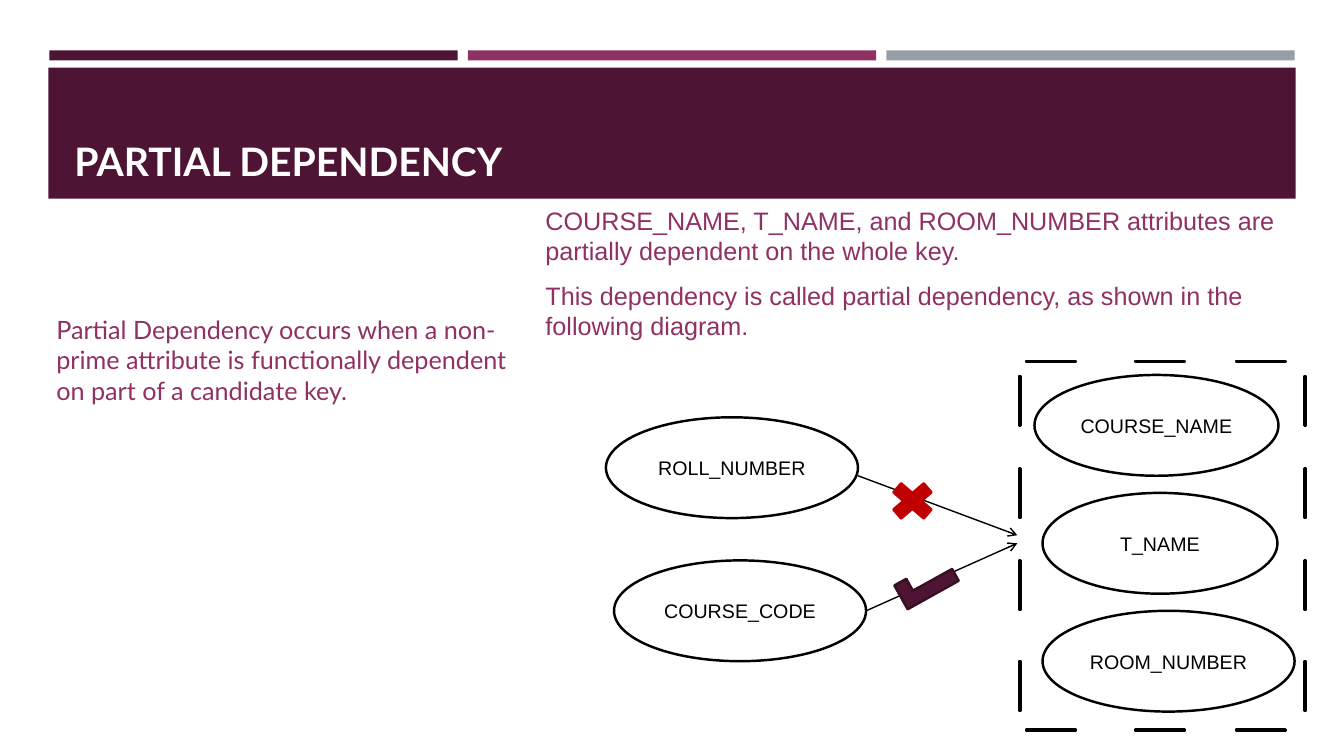
from dataclasses import dataclass

from lxml import etree
from pptx import Presentation
from pptx.dml.color import RGBColor
from pptx.enum.shapes import MSO_CONNECTOR, MSO_SHAPE
from pptx.enum.text import MSO_ANCHOR, PP_ALIGN
from pptx.oxml.ns import qn
from pptx.util import Inches, Pt

RECTANGLE = MSO_SHAPE.RECTANGLE
OVAL = MSO_SHAPE.OVAL
DASH = MSO_SHAPE.MATH_MINUS
CROSS = MSO_SHAPE.MATH_MULTIPLY
TICK = MSO_SHAPE.CORNER
STRAIGHT = MSO_CONNECTOR.STRAIGHT
TOP, MIDDLE, BOTTOM = MSO_ANCHOR.TOP, MSO_ANCHOR.MIDDLE, MSO_ANCHOR.BOTTOM
LEFT, CENTER = PP_ALIGN.LEFT, PP_ALIGN.CENTER


@dataclass(frozen=True)
class Theme:
    plum: str = "4D1434"
    plum_edge: str = "390F26"
    magenta: str = "903163"
    gray: str = "969FA7"
    red: str = "C00000"
    black: str = "000000"
    white: str = "FFFFFF"
    heading_font: str = "Lato"
    diagram_font: str = "Arial"
    title_size: int = 28
    body_size: int = 18
    label_size: int = 14
    outline: float = 1.75
    arrow: float = 1


theme = Theme()
presentation = Presentation()
presentation.slide_width = Inches(13.33)
presentation.slide_height = Inches(7.5)
slide = presentation.slides.add_slide(presentation.slide_layouts[6])


def add_shape(kind, box, fill, line=None, rotation=0):
    shape = slide.shapes.add_shape(kind, *map(Inches, box))
    shape.shadow.inherit = False
    shape.rotation = rotation
    shape.fill.solid()
    shape.fill.fore_color.rgb = RGBColor.from_string(fill)
    if line:
        shape.line.color.rgb = RGBColor.from_string(line)
        shape.line.width = Pt(theme.outline)
    else:
        shape.line.fill.background()
    return shape


def write_text(shape, texts, font, size, color, anchor=TOP, align=LEFT, bold=False):
    frame = shape.text_frame
    frame.word_wrap = True
    frame.vertical_anchor = anchor
    frame.text = "\n".join(texts)
    for paragraph in frame.paragraphs:
        paragraph.alignment = align
        paragraph.font.name = font
        paragraph.font.size = Pt(size)
        paragraph.font.bold = bold
        paragraph.font.color.rgb = RGBColor.from_string(color)
    return frame


for column, color in enumerate((theme.plum, theme.magenta, theme.gray)):
    add_shape(RECTANGLE, (0.49 + 4.15 * column, 0.5, 4.05, 0.1), color)
add_shape(RECTANGLE, (0.48, 0.67, 12.37, 1.3), theme.plum)

title = slide.shapes.add_textbox(Inches(0.64), Inches(0.77), Inches(12.06), Inches(1.11))
write_text(title, ["PARTIAL DEPENDENCY"], theme.heading_font, theme.title_size,
           theme.white, anchor=BOTTOM, bold=True)

definition = slide.shapes.add_textbox(Inches(0.46), Inches(3.07), Inches(4.88), Inches(1))
write_text(definition,
           ["Partial Dependency occurs when a non-prime attribute is functionally "
            "dependent on part of a candidate key."],
           theme.heading_font, theme.body_size, theme.magenta)

explanation = add_shape(RECTANGLE, (4.96, 1.99, 8, 1.5), theme.white)
explanation_frame = write_text(
    explanation,
    ["COURSE_NAME, T_NAME, and ROOM_NUMBER attributes are partially dependent "
     "on the whole key.",
     "This dependency is called partial dependency, as shown in the following diagram."],
    theme.diagram_font, theme.body_size, theme.magenta)
explanation_frame.margin_left = Inches(0.45)
for paragraph in explanation_frame.paragraphs:
    paragraph.space_before = Pt(4)
    paragraph.space_after = Pt(6)

attributes = [
    ("ROLL_NUMBER", 6.01, 4.14, 2.5),
    ("COURSE_CODE", 6.09, 5.56, 2.5),
    ("COURSE_NAME", 10.26, 3.72, 2.42),
    ("T_NAME", 10.34, 4.89, 2.33),
    ("ROOM_NUMBER", 10.34, 6.06, 2.5),
]
for name, left, top, width in attributes:
    ellipse = add_shape(OVAL, (left, top, width, 1), theme.white, theme.black)
    write_text(ellipse, [name], theme.diagram_font, theme.label_size,
               theme.black, anchor=MIDDLE, align=CENTER)

horizontal_dashes = [(left, top, 0) for top in (3.56, 7.22) for left in (10.09, 11.17, 12.17)]
vertical_dashes = [(left, top, 270) for left in (9.78, 12.61) for top in (3.95, 4.87, 5.78, 6.78)]
for left, top, rotation in horizontal_dashes + vertical_dashes:
    add_shape(DASH, (left, top, 0.67, 0.05), theme.black, theme.black, rotation)

for start_x, start_y, end_y in ((8.51, 4.72, 5.31), (8.59, 6.06, 5.39)):
    arrow = slide.shapes.add_connector(
        STRAIGHT, Inches(start_x), Inches(start_y), Inches(10.09), Inches(end_y))
    arrow.line.color.rgb = RGBColor.from_string(theme.black)
    arrow.line.width = Pt(theme.arrow)
    etree.SubElement(arrow.line._get_or_add_ln(), qn("a:tailEnd"), type="arrow")
    etree.SubElement(arrow._element.spPr, qn("a:effectLst"))

add_shape(CROSS, (8.76, 4.72, 0.58, 0.5), theme.red, theme.red)
add_shape(TICK, (8.9, 5.65, 0.58, 0.27), theme.plum, theme.plum_edge, 330.9)

presentation.save("out.pptx")
